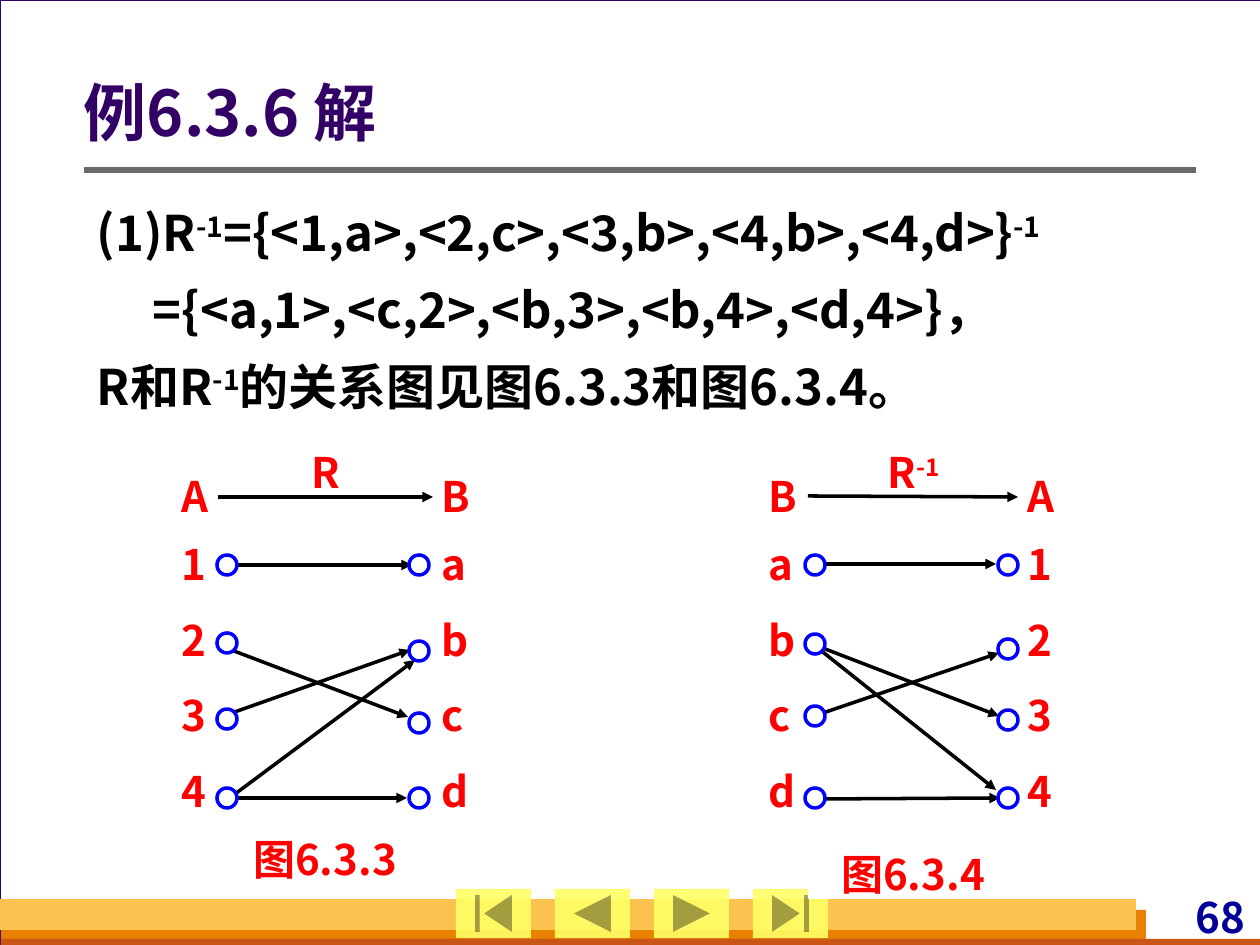
from dataclasses import dataclass
from typing import NamedTuple

from lxml.etree import SubElement
from pptx import Presentation
from pptx.dml.color import RGBColor
from pptx.enum.shapes import MSO_CONNECTOR as Connector, MSO_SHAPE as Preset
from pptx.enum.text import MSO_ANCHOR as Anchor, PP_ALIGN as Align
from pptx.oxml.ns import qn
from pptx.util import Emu, Pt

FONT = "Noto Sans CJK SC"
WHITE = RGBColor(0xFF, 0xFF, 0xFF)
BLACK = RGBColor(0x00, 0x00, 0x00)
RED = RGBColor(0xFF, 0x00, 0x00)
BLUE = RGBColor(0x00, 0x00, 0xFF)
NAVY = RGBColor(0x00, 0x00, 0x99)
PURPLE = RGBColor(0x33, 0x00, 0x66)
GRAY = RGBColor(0x6B, 0x6B, 0x6B)
ORANGE = RGBColor(0xE8, 0x80, 0x00)
RUST = RGBColor(0xC9, 0x56, 0x16)
AMBER = RGBColor(0xFC, 0xC2, 0x4F)
YELLOW = RGBColor(0xFF, 0xFF, 0x66)

PX_PER_INCH = 126
LABEL_WIDTH, LABEL_HEIGHT = 30, 50
HEADER_TOP, FIRST_ROW_TOP, LAST_ROW_TOP = 471, 539, 766
NODE_SIZE = 20


class Box(NamedTuple):
    left: int
    top: int
    width: int
    height: int


class Piece(NamedTuple):
    text: str
    superscript: bool = False


class Arrow(NamedTuple):
    x1: int
    y1: int
    x2: int
    y2: int


@dataclass
class Column:
    """One set of a relation: its name, members and node centres."""
    label_left: int
    node_x: int
    name: str
    members: str
    node_ys: tuple[int, ...]


@dataclass
class Diagram:
    heading: list[Piece]
    heading_box: Box
    caption: str
    caption_box: Box
    columns: tuple[Column, Column]
    arrows: list[Arrow]


DIAGRAMS = [
    Diagram(
        [Piece("R")], Box(311, 447, 30, 50), "图6.3.3", Box(220, 834, 210, 50),
        (Column(181, 227, "A", "1234", (565, 643, 719, 798)),
         Column(441, 419, "B", "abcd", (565, 651, 723, 798))),
        [Arrow(218, 497, 433, 497), Arrow(229, 565, 412, 565),
         Arrow(226, 648, 408, 717), Arrow(229, 714, 410, 650),
         Arrow(227, 800, 415, 660), Arrow(229, 798, 407, 798)],
    ),
    Diagram(
        [Piece("R"), Piece("-1", True)], Box(873, 447, 81, 50),
        "图6.3.4", Box(808, 849, 210, 50),
        (Column(769, 815, "B", "abcd", (565, 644, 716, 798)),
         Column(1028, 1008, "A", "1234", (565, 649, 720, 798))),
        [Arrow(808, 496, 1018, 497), Arrow(822, 564, 996, 564),
         Arrow(820, 647, 999, 716), Arrow(820, 714, 999, 653),
         Arrow(814, 645, 996, 790), Arrow(822, 799, 1000, 798)],
    ),
]

SOLUTION = [
    [Piece("(1)R"), Piece("-1", True),
     Piece("={<1,a>,<2,c>,<3,b>,<4,b>,<4,d>}"), Piece("-1", True)],
    [Piece("={<a,1>,<c,2>,<b,3>,<b,4>,<d,4>}，")],
    [Piece("R和R"), Piece("-1", True), Piece("的关系图见图6.3.3和图6.3.4。")],
]


def px(length: int) -> Emu:
    return Emu(round(length * 914400 / PX_PER_INCH))


def emu_box(box: Box) -> list[Emu]:
    return [px(length) for length in box]


def set_frame(frame, anchor=Anchor.TOP, left=0, top=0, right=0, bottom=0) -> None:
    frame.word_wrap = True
    frame.vertical_anchor = anchor
    frame.margin_left, frame.margin_top = px(left), px(top)
    frame.margin_right, frame.margin_bottom = px(right), px(bottom)


def add_pieces(paragraph, pieces: list[Piece], size: int, color: RGBColor, align=Align.LEFT) -> None:
    paragraph.alignment = align
    for piece in pieces:
        run = paragraph.add_run()
        run.text = piece.text
        run.font.size, run.font.bold, run.font.name = Pt(size), True, FONT
        run.font.color.rgb = color
        properties = run._r.get_or_add_rPr()
        SubElement(properties, qn("a:ea")).set("typeface", FONT)
        if piece.superscript:
            properties.set("baseline", "30000")


def add_filled(shapes, preset, box: Box, fill: RGBColor, line: RGBColor | None = None, weight: float = 0):
    shape = shapes.add_shape(preset, *emu_box(box))
    shape.shadow.inherit = False
    shape.fill.solid()
    shape.fill.fore_color.rgb = fill
    if line is None:
        shape.line.fill.background()
    else:
        shape.line.color.rgb = line
        shape.line.width = Pt(weight)
    return shape


def add_line(shapes, ends: Arrow, color: RGBColor, weight: float, arrowhead: bool = False) -> None:
    line = shapes.add_connector(Connector.STRAIGHT, *[px(value) for value in ends])
    line.line.color.rgb = color
    line.line.width = Pt(weight)
    if arrowhead:
        SubElement(line.line._get_or_add_ln(), qn("a:tailEnd")).set("type", "triangle")
    SubElement(line.element.spPr, qn("a:effectLst"))


def add_plate(shapes, box: Box, pieces: list[Piece]) -> None:
    """Add red centred text on a white rectangle."""
    plate = add_filled(shapes, Preset.RECTANGLE, box, WHITE)
    set_frame(plate.text_frame)
    add_pieces(plate.text_frame.paragraphs[0], pieces, 24, RED, Align.CENTER)


def add_label(shapes, left: int, top: int, text: str) -> None:
    label = shapes.add_textbox(*emu_box(Box(left, top, LABEL_WIDTH, LABEL_HEIGHT)))
    set_frame(label.text_frame)
    add_pieces(label.text_frame.paragraphs[0], [Piece(text)], 24, RED)


def add_diagram(slide, diagram: Diagram) -> None:
    shapes = slide.shapes.add_group_shape().shapes
    add_plate(shapes, diagram.heading_box, diagram.heading)
    add_plate(shapes, diagram.caption_box, [Piece(diagram.caption)])
    for arrow in diagram.arrows:
        add_line(shapes, arrow, BLACK, 2, arrowhead=True)
    for column in diagram.columns:
        add_label(shapes, column.label_left, HEADER_TOP, column.name)
        pitch = (LAST_ROW_TOP - FIRST_ROW_TOP) / (len(column.members) - 1)
        for row, (member, y) in enumerate(zip(column.members, column.node_ys)):
            add_label(shapes, column.label_left, round(FIRST_ROW_TOP + row * pitch), member)
            node = Box(column.node_x - NODE_SIZE // 2, y - NODE_SIZE // 2, NODE_SIZE, NODE_SIZE)
            add_filled(shapes, Preset.OVAL, node, WHITE, BLUE, 2)


def add_page_furniture(shapes) -> None:
    add_filled(shapes, Preset.RECTANGLE, Box(0, 0, 1261, 945), WHITE, PURPLE, 0.75)
    for box, color in ((Box(1, 910, 1145, 35), ORANGE), (Box(1, 939, 1259, 6), RUST),
                       (Box(0, 899, 1136, 31), AMBER)):
        add_filled(shapes, Preset.RECTANGLE, box, color)
    number = shapes.add_textbox(*emu_box(Box(1067, 892, 183, 50)))
    set_frame(number.text_frame, left=5, right=5)
    add_pieces(number.text_frame.paragraphs[0], [Piece("68")], 24, NAVY, Align.RIGHT)
    add_line(shapes, Arrow(84, 170, 1196, 170), GRAY, 3)
    buttons = (Preset.ACTION_BUTTON_BEGINNING, Preset.ACTION_BUTTON_BACK_OR_PREVIOUS,
               Preset.ACTION_BUTTON_FORWARD_OR_NEXT, Preset.ACTION_BUTTON_END)
    for index, preset in enumerate(buttons):
        button = add_filled(shapes, preset, Box(456 + 99 * index, 889, 75, 49), YELLOW)
        color = button.element.spPr.find(qn("a:solidFill")).find(qn("a:srgbClr"))
        SubElement(color, qn("a:alpha")).set("val", "90000")


def format_title(title) -> None:
    title.element.getparent().append(title.element)  # in front of the page
    title.left, title.top, title.width, title.height = emu_box(Box(84, 76, 1111, 81))
    set_frame(title.text_frame, Anchor.MIDDLE, top=6, right=13, bottom=6)
    paragraph = title.text_frame.paragraphs[0]
    paragraph.line_spacing = 0.9
    add_pieces(paragraph, [Piece("例6.3.6 解")], 36, PURPLE)


def add_solution(shapes) -> None:
    frame = shapes.add_textbox(*emu_box(Box(84, 185, 1111, 378))).text_frame
    set_frame(frame, left=13, top=6, right=13, bottom=6)
    for index, pieces in enumerate(SOLUTION):
        paragraph = frame.add_paragraph() if index else frame.paragraphs[0]
        paragraph.line_spacing = 1.2
        if index:
            paragraph.space_before = Pt(3.5)
        add_pieces(paragraph, pieces, 28, BLACK, Align.JUSTIFY)
    frame.paragraphs[1]._p.get_or_add_pPr().set("marL", str(px(56)))


def main() -> None:
    presentation = Presentation()
    presentation.slide_width, presentation.slide_height = px(1260), px(945)
    slide = presentation.slides.add_slide(presentation.slide_layouts[5])
    add_page_furniture(slide.shapes)
    format_title(slide.shapes.title)
    add_solution(slide.shapes)
    for diagram in DIAGRAMS:
        add_diagram(slide, diagram)
    presentation.save("out.pptx")


if __name__ == "__main__":
    main()
